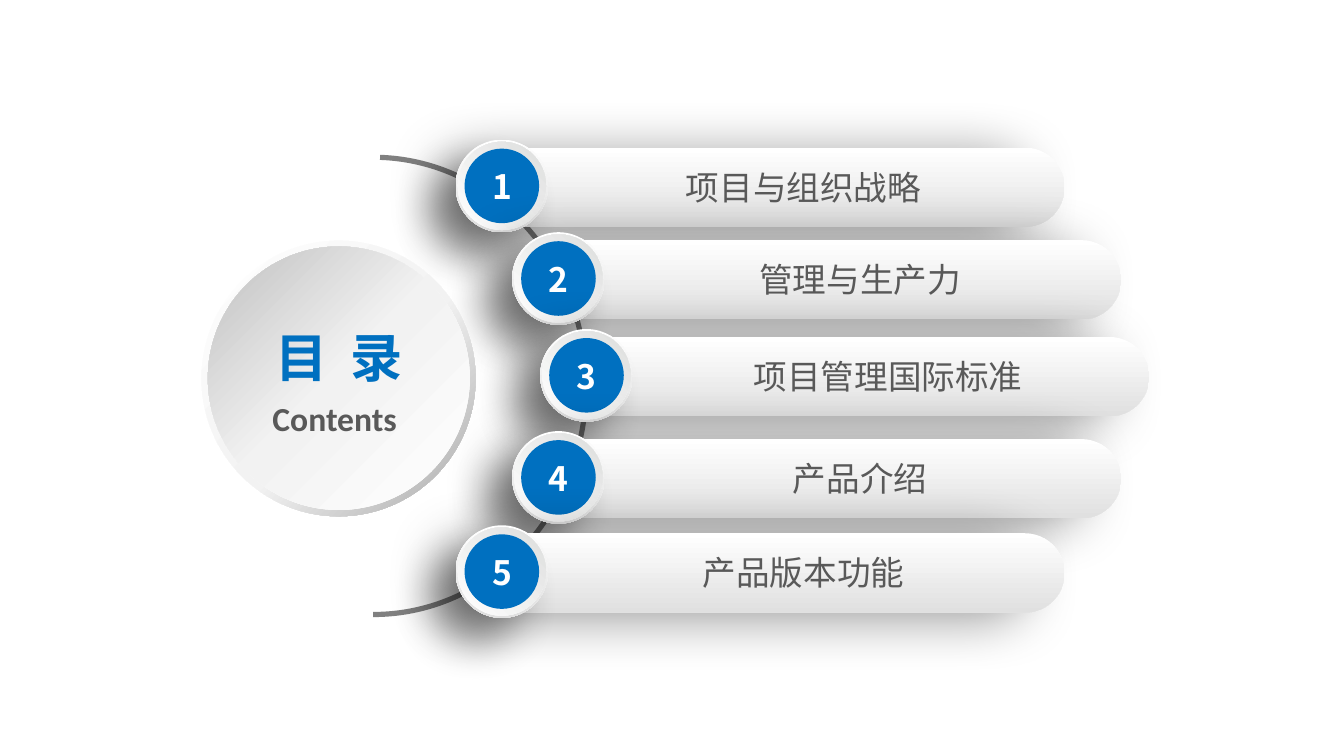
from lxml import etree
from pptx import Presentation
from pptx import util as u
from pptx.dml.color import RGBColor
from pptx.enum import shapes, text
from pptx.oxml.ns import qn

COLORS = {
    "white": "FFFFFF", "blue": "0070C0", "text": "595959", "arc": "808080",
    "bar_end": "E0E0E0", "ring_end": "DDDEDD", "pale": "F2F2F2",
    "rim_end": "A6A6A6", "disc_end": "BFBFBF", "shadow": "000000",
}
CJK = "Noto Sans CJK SC"
TOPICS = [
    ("项目与组织战略", 8.61, 2.64),
    ("管理与生产力", 9.68, 4.39),
    ("项目管理国际标准", 10.21, 6.22),
    ("产品介绍", 9.68, 8.15),
    ("产品版本功能", 8.61, 9.93),
]
Kind = shapes.MSO_SHAPE


def add_gradient(shape, stops, angle):
    shape.fill.gradient()
    gradient = shape._element.spPr.find(qn("a:gradFill"))
    for child in list(gradient):
        gradient.remove(child)
    stop_list = etree.SubElement(gradient, qn("a:gsLst"))
    for position, color in stops:
        stop = etree.SubElement(stop_list, qn("a:gs"), pos=str(position * 1000))
        etree.SubElement(stop, qn("a:srgbClr"), val=COLORS[color])
    etree.SubElement(gradient, qn("a:lin"), ang=str(angle * 60000), scaled="0")


def add_shadow(shape, blur, distance, direction, opacity=40):
    effects = shape._element.spPr.find(qn("a:effectLst"))
    shadow = etree.SubElement(
        effects, qn("a:outerShdw"), blurRad=str(u.Pt(blur)), dist=str(u.Pt(distance)),
        dir=str(direction * 60000), algn="ctr", rotWithShape="0")
    color = etree.SubElement(shadow, qn("a:srgbClr"), val=COLORS["shadow"])
    etree.SubElement(color, qn("a:alpha"), val=str(opacity * 1000))


def add_form(parent, kind, box, color=None, stops=None, angle=90,
             adjust=(), flip=False, shadow=None):
    form = parent.shapes.add_shape(kind, *map(u.Cm, box))
    form.shadow.inherit = False
    form.line.fill.background()
    for index, value in enumerate(adjust):
        form.adjustments[index] = value
    if stops:
        add_gradient(form, stops, angle)
    else:
        form.fill.solid()
        form.fill.fore_color.rgb = RGBColor.from_string(COLORS[color])
    if flip:
        form._element.spPr.find(qn("a:xfrm")).set("flipH", "1")
    if shadow:
        add_shadow(form, *shadow)
    return form


def add_text(parent, words, box, size=18, font=CJK, color="text", bold=False,
             align=text.PP_ALIGN.CENTER, spacing=0):
    frame = parent.shapes.add_textbox(*map(u.Cm, box)).text_frame
    frame.word_wrap = True
    frame.vertical_anchor = text.MSO_ANCHOR.MIDDLE
    paragraph = frame.paragraphs[0]
    paragraph.alignment = align
    run = paragraph.add_run()
    run.text = words
    run.font.size = u.Pt(size)
    run.font.name = font
    run.font.bold = bold
    run.font.color.rgb = RGBColor.from_string(COLORS[color])
    properties = run.font._element
    etree.SubElement(properties, qn("a:ea"), typeface=CJK)
    if spacing:
        properties.set("spc", str(spacing * 100))


def add_arc(slide, left, top, width, height):
    arc = add_form(slide, Kind.BLOCK_ARC, (left, top, width, height),
                   color="arc", adjust=(108.97, 0.07, 0.012))
    arc.rotation = 90


def add_topic(slide, number, topic, left, top, width, height):
    group = slide.shapes.add_group_shape()
    shade = [(0, "white"), (100, "bar_end")]
    add_form(group, Kind.ROUNDED_RECTANGLE,
             (left + 0.38, top + 0.15, width - 0.38, height - 0.25),
             stops=shade, adjust=(0.5,), flip=True, shadow=(30, 20, 171))
    add_form(group, Kind.OVAL, (left, top, height, height),
             stops=shade, shadow=(22, 20, 135))
    for inset, look in [
        (0.04, {"stops": [(0, "white"), (100, "ring_end")], "angle": 315}),
        (0.17, {"color": "blue"}),
    ]:
        side = height - 2 * inset
        add_form(group, Kind.OVAL, (left + inset, top + inset, side, side), **look)
    add_text(group, str(number), (left + 0.31, top + 0.37, 1.14, 1.02),
             color="white", bold=True)
    add_text(group, topic, (left + 3.12, top + 0.38, 6.91, 1.02), font="Arial")


def add_title(slide, left, top, width, height):
    group = slide.shapes.add_group_shape()
    add_form(group, Kind.DONUT, (left, top, width, height), adjust=(0.049,), flip=True,
             stops=[(0, "white"), (55, "pale"), (100, "rim_end")], angle=135)
    add_form(group, Kind.OVAL,
             (left + 0.12, top + 0.11, width - 0.23, height - 0.23), flip=True,
             stops=[(0, "white"), (51, "pale"), (100, "disc_end")], angle=315)
    add_text(group, "目 录", (left + 0.79, top + 1.47, 3.61, 1.45),
             size=28, color="blue", bold=True, spacing=3)
    add_text(group, "Contents", (left + 1.09, top + 2.84, 3, 1.02),
             font="Calibri", bold=True, align=text.PP_ALIGN.LEFT)


def main():
    deck = Presentation()
    deck.slide_width, deck.slide_height = u.Cm(25.4), u.Cm(14.29)
    slide = deck.slides.add_slide(deck.slide_layouts[6])
    add_arc(slide, 2.69, 3.23, 8.74, 8.13)
    for number, (topic, left, top) in enumerate(TOPICS, 1):
        add_topic(slide, number, topic, left, top, 11.51, 1.75)
    add_title(slide, 3.81, 4.55, 5.18, 5.21)
    deck.save("out.pptx")


if __name__ == "__main__":
    main()
